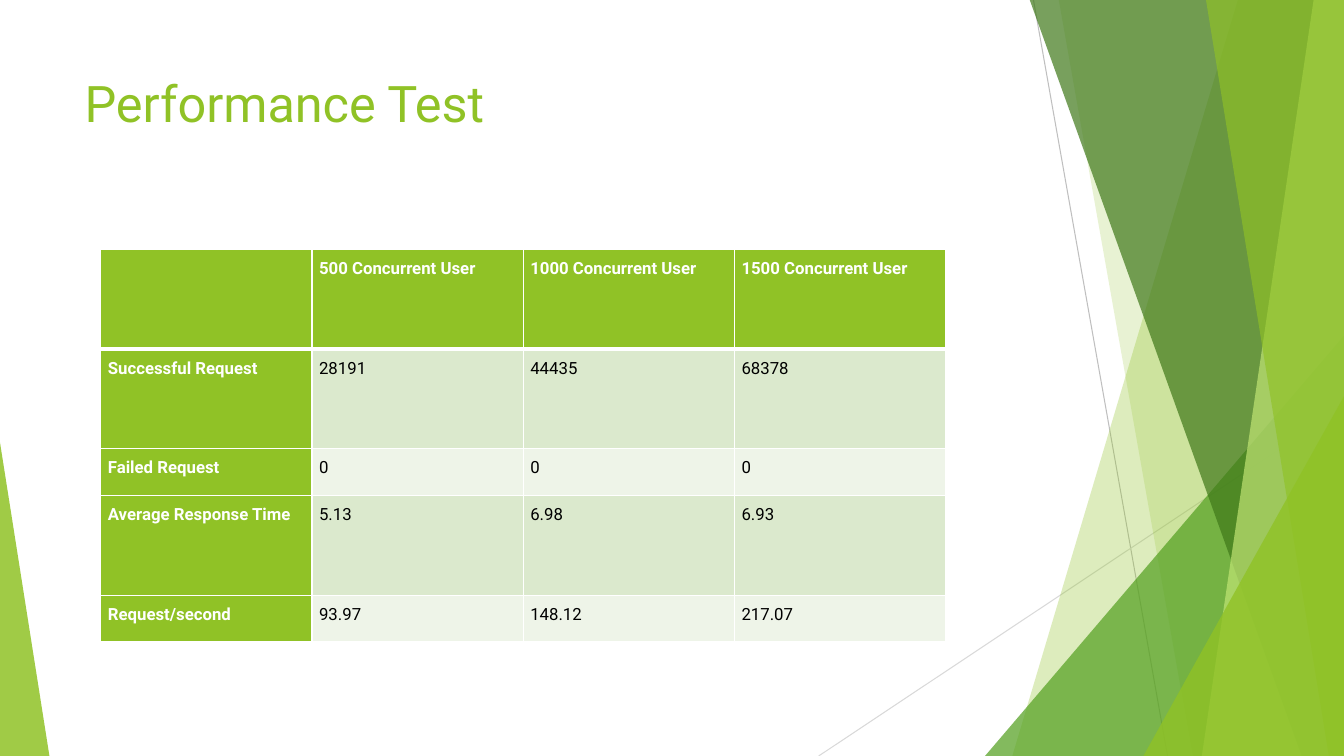
from lxml import etree
from pptx import Presentation
from pptx import util as u
from pptx.dml.color import RGBColor
from pptx.enum import shapes, text
from pptx.oxml import ns

FONT = "Roboto"
COLORS = {
    "green": "90C226", "leaf": "54A021", "forest": "3F7819", "lime": "C0E474",
    "band": "DBE9CD", "pale": "EEF4E8", "white": "FFFFFF", "black": "000000",
    "gray": "BFBFBF", "light_gray": "D9D9D9",
}
WIDTH, HEIGHT, TOP = 13.33, 7.5, -0.01

ROWS = [
    ["", "500 Concurrent User", "1000 Concurrent User", "1500 Concurrent User"],
    ["Successful Request", "28191", "44435", "68378"],
    ["Failed Request", "0", "0", "0"],
    ["Average Response Time", "5.13", "6.98", "6.93"],
    ["Request/second", "93.97", "148.12", "217.07"],
]
ROW_HEIGHTS = [0.99, 0.99, 0.465, 0.99, 0.465]


def rgb(name):
    """Return the named colour."""
    return RGBColor.from_string(COLORS[name])


def paint(shape, color, opacity):
    """Give a shape a see-through fill, no outline and no shadow."""
    shape.shadow.inherit = False
    shape.line.fill.background()
    shape.fill.solid()
    shape.fill.fore_color.rgb = rgb(color)
    color_element = shape.fill._xPr.find(".//" + ns.qn("a:srgbClr"))
    etree.SubElement(color_element, ns.qn("a:alpha"), val=str(opacity * 1000))


def add_line(slide, start, end, color):
    """Draw a thin straight line."""
    line = slide.shapes.add_connector(
        shapes.MSO_CONNECTOR.STRAIGHT, *map(u.Inches, start + end))
    line.line.color.rgb = rgb(color)
    line.line.width = u.Pt(0.75)
    etree.SubElement(line._element.spPr, ns.qn("a:effectLst"))


def add_facet(slide, top_left, bottom_left, color, opacity):
    """Draw a full-height facet that ends at the right slide edge."""
    points = [(top_left, TOP), (WIDTH, TOP), (WIDTH, HEIGHT), (bottom_left, HEIGHT)]
    corners = [(u.Inches(x), u.Inches(y)) for x, y in points]
    builder = slide.shapes.build_freeform(*corners[0])
    builder.add_line_segments(corners[1:], close=True)
    paint(builder.convert_to_shape(), color, opacity)


def add_triangle(slide, left, width, height, apex, color, opacity):
    """Draw a triangle that stands on the bottom slide edge."""
    shape = slide.shapes.add_shape(
        shapes.MSO_SHAPE.ISOSCELES_TRIANGLE, u.Inches(left),
        u.Inches(HEIGHT - height), u.Inches(width), u.Inches(height))
    shape.adjustments[0] = apex
    paint(shape, color, opacity)


def write_text(frame, words, size, color, bold=False, align=None,
               line_spacing=None, space_after=None):
    """Write one formatted paragraph into a text frame."""
    frame.word_wrap = True
    paragraph = frame.paragraphs[0]
    paragraph.alignment = align
    paragraph.line_spacing = line_spacing
    if space_after is not None:
        paragraph.space_after = u.Pt(space_after)
    run = paragraph.add_run()
    run.text = words
    run.font.name = FONT
    run.font.size = u.Pt(size)
    run.font.bold = bold
    run.font.color.rgb = rgb(color)


def add_borders(cell, top, bottom):
    """Give a cell white borders, with the top and bottom widths in points."""
    properties = cell._tc.get_or_add_tcPr()
    widths = {"L": 1, "R": 1, "T": top, "B": bottom}
    for index, (side, width) in enumerate(widths.items()):
        border = etree.Element(ns.qn("a:ln" + side), w=str(u.Pt(width)))
        fill = etree.SubElement(border, ns.qn("a:solidFill"))
        etree.SubElement(fill, ns.qn("a:srgbClr"), val=COLORS["white"])
        properties.insert(index, border)


def add_results_table(slide, left, top, width):
    """Add the test results with a green header row and first column."""
    columns = len(ROWS[0])
    table = slide.shapes.add_table(
        len(ROWS), columns, u.Inches(left), u.Inches(top),
        u.Inches(width), u.Inches(sum(ROW_HEIGHTS))).table
    for column in table.columns:
        column.width = u.Inches(width / columns)
    for r, (values, height) in enumerate(zip(ROWS, ROW_HEIGHTS)):
        table.rows[r].height = u.Inches(height)
        for c, value in enumerate(values):
            cell = table.cell(r, c)
            heading = r == 0 or c == 0
            cell.fill.solid()
            cell.fill.fore_color.rgb = rgb(
                "green" if heading else "band" if r % 2 else "pale")
            add_borders(cell, top=3 if r == 1 else 1, bottom=3 if r == 0 else 1)
            cell.margin_left = cell.margin_right = u.Inches(0.07)
            cell.margin_top = cell.margin_bottom = 0
            if value:
                write_text(cell.text_frame, value, size=12, bold=heading,
                           color="white" if heading else "black",
                           align=text.PP_ALIGN.JUSTIFY,
                           line_spacing=1.5, space_after=8)


def add_backdrop(slide):
    """Draw the green facets and thin lines around the content."""
    add_line(slide, (10.25, 0), (11.58, HEIGHT), "gray")
    add_line(slide, (WIDTH, 4.03), (8.12, HEIGHT), "light_gray")
    add_facet(slide, 12.28, 10.04, "green", 30)
    add_facet(slide, 10.5, 11.83, "green", 20)
    add_triangle(slide, 9.77, 3.56, 4.17, 1, "leaf", 72)
    add_facet(slide, 10.21, 12.91, "forest", 70)
    add_facet(slide, 13.03, 11.92, "lime", 70)
    add_facet(slide, 11.96, 13.18, "green", 65)
    add_triangle(slide, 11.34, 1.99, 3.57, 1, "green", 80)
    add_triangle(slide, 0, 0.49, 3.11, 0, "green", 85)


def main():
    """Build the slide and save it."""
    presentation = Presentation()
    presentation.slide_width = u.Inches(WIDTH)
    presentation.slide_height = u.Inches(HEIGHT)
    slide = presentation.slides.add_slide(presentation.slide_layouts[6])
    add_backdrop(slide)
    title = slide.shapes.add_textbox(
        u.Inches(0.74), u.Inches(0.67), u.Inches(9.4), u.Inches(1.44))
    write_text(title.text_frame, "Performance Test", size=36, color="green")
    add_results_table(slide, left=1, top=2.47, width=8.38)
    presentation.save("out.pptx")


main()
